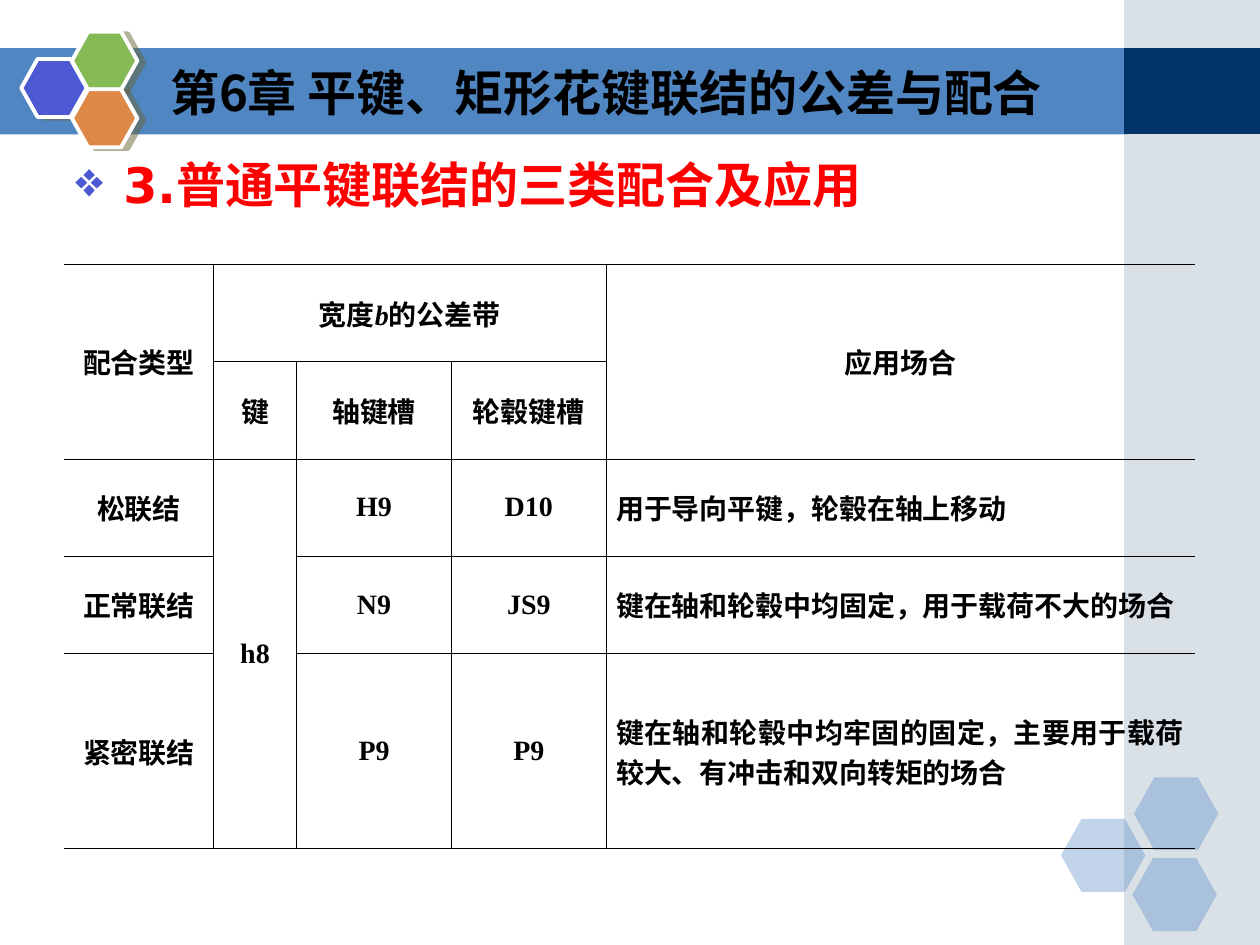
from dataclasses import dataclass
from lxml import etree
from pptx import Presentation
from pptx.dml.color import RGBColor
from pptx.enum.shapes import MSO_SHAPE
from pptx.enum.text import MSO_ANCHOR, PP_ALIGN
from pptx.oxml.ns import qn
from pptx.util import Cm, Pt

RECT, HEX = MSO_SHAPE.RECTANGLE, MSO_SHAPE.HEXAGON
MIDDLE, TOP = MSO_ANCHOR.MIDDLE, MSO_ANCHOR.TOP
LEFT, CENTER, JUSTIFY = PP_ALIGN.LEFT, PP_ALIGN.CENTER, PP_ALIGN.JUSTIFY


@dataclass(frozen=True)
class Theme:
    band: str = "5086C2"
    side: str = "A0B5C4"
    navy: str = "003366"
    blue: str = "4C59D2"
    green: str = "85BA54"
    orange: str = "DE8848"
    shade: str = "666633"
    white: str = "FFFFFF"
    black: str = "000000"
    red: str = "FF0000"
    han: str = "Noto Sans CJK SC"
    sans: str = "DejaVu Sans"
    serif: str = "Times New Roman"
    head: int = 28
    body: int = 16
    thin: float = 0.45
    thick: float = 0.75


THEME = Theme()

COLS = [3, 1.68, 3.12, 3.12, 11.86]
ROWS = [1.96] * 4 + [3.94]
CELLS = [
    ["配合类型", "宽度|b|的公差带", "", "", "应用场合"],
    ["", "键", "轴键槽", "轮毂键槽", ""],
    ["松联结", "h8", "H9", "D10", "用于导向平键，轮毂在轴上移动"],
    ["正常联结", "", "N9", "JS9", "键在轴和轮毂中均固定，用于载荷不大的场合"],
    ["紧密联结", "", "P9", "P9",
     "键在轴和轮毂中均牢固的固定，主要用于载荷较大、有冲击和双向转矩的场合"],
]
MERGES = [((0, 0), (1, 0)), ((0, 1), (0, 3)), ((0, 4), (1, 4)), ((2, 1), (4, 1))]


def add_node(parent, tag, **attrs):
    node = etree.SubElement(parent, qn(tag))
    for key, value in attrs.items():
        node.set(key, str(value))
    return node


def add_shape(slide, kind, box, color, alpha=None):
    shape = slide.shapes.add_shape(kind, *map(Cm, box))
    shape.shadow.inherit = False
    shape.fill.solid()
    shape.fill.fore_color.rgb = RGBColor.from_string(color)
    shape.line.fill.background()
    if alpha:
        tint = shape.fill._xPr.find(".//" + qn("a:srgbClr"))
        add_node(tint, "a:alpha", val=alpha * 1000)
    if kind == HEX:
        shape.adjustments[0] = 0.28
    return shape


def add_badge(slide, box, color):
    shape = add_shape(slide, HEX, box, color)
    shape.line.color.rgb = RGBColor.from_string(THEME.white)
    shape.line.width = Pt(2.25)
    effects = shape._element.spPr.find(qn("a:effectLst"))
    shadow = add_node(effects, "a:outerShdw", blurRad=0, dist=Pt(4.1),
                      dir=14 * 60000, algn="ctr", rotWithShape=0)
    tint = add_node(shadow, "a:srgbClr", val=THEME.shade)
    add_node(tint, "a:alpha", val=50000)


def style_run(run, font, size, color):
    run.font.name = font
    run.font.size = Pt(size)
    run.font.bold = True
    run.font.color.rgb = RGBColor.from_string(color)
    add_node(run.font._element, "a:ea", typeface=THEME.han)


def add_text(slide, box, text, font, color, anchor):
    frame = slide.shapes.add_textbox(*map(Cm, box)).text_frame
    frame.word_wrap = True
    frame.vertical_anchor = anchor
    frame.text = text
    para = frame.paragraphs[0]
    para.alignment = LEFT
    style_run(para.runs[0], font, THEME.head, color)
    return para


def add_bullet(para):
    props = para._p.get_or_add_pPr()
    props.set("marL", str(Cm(0.97)))
    props.set("indent", str(-Cm(0.97)))
    add_node(add_node(props, "a:buClr"), "a:srgbClr", val=THEME.blue)
    add_node(props, "a:buChar", char="❖")


def set_edges(cell, widths):
    props = cell._tc.get_or_add_tcPr()
    for spot, (side, width) in enumerate(zip("LRTB", widths)):
        line = etree.Element(qn("a:ln" + side))
        if width:
            line.set("w", str(Pt(width)))
            add_node(add_node(line, "a:solidFill"), "a:srgbClr", val=THEME.black)
        else:
            line.set("w", "0")
            add_node(line, "a:noFill")
        props.insert(spot, line)


def fill_cell(cell, text, align):
    cell.fill.background()
    cell.vertical_anchor = MIDDLE
    cell.margin_left = cell.margin_right = Cm(0.2)
    cell.margin_top = cell.margin_bottom = Cm(0.13)
    para = cell.text_frame.paragraphs[0]
    para.alignment = align
    if not text:
        return
    for spot, part in enumerate(text.split("|")):
        run = para.add_run()
        run.text = part
        style_run(run, THEME.serif, THEME.body, THEME.black)
        run.font.italic = spot == 1


def add_table(slide):
    table = slide.shapes.add_table(
        len(ROWS), len(COLS), Cm(1.3), Cm(5.33), Cm(sum(COLS)), Cm(sum(ROWS))).table
    table.first_row = table.horz_banding = False
    for col, width in zip(table.columns, COLS):
        col.width = Cm(width)
    for row, height in zip(table.rows, ROWS):
        row.height = Cm(height)
    for first, last in MERGES:
        table.cell(*first).merge(table.cell(*last))
    end_row, end_col = len(ROWS) - 1, len(COLS) - 1
    for r, row in enumerate(CELLS):
        for c, text in enumerate(row):
            cell = table.cell(r, c)
            fill_cell(cell, text, JUSTIFY if c == end_col and r > 1 else CENTER)
            set_edges(cell, [
                THEME.thin if c else 0,
                THEME.thin if c < end_col else 0,
                THEME.thin if r else THEME.thick,
                THEME.thin if r < end_row else THEME.thick])


def main():
    deck = Presentation()
    deck.slide_width, deck.slide_height = Cm(25.4), Cm(19.05)
    slide = deck.slides.add_slide(deck.slide_layouts[6])
    add_shape(slide, RECT, (0, 0.97, 22.73, 1.74), THEME.band)
    add_shape(slide, RECT, (22.66, 0, 2.74, 19.05), THEME.side, 40)
    add_shape(slide, RECT, (22.66, 0.97, 2.74, 1.73), THEME.navy)
    for x, y in [(21.39, 16.51), (22.86, 15.67), (22.83, 17.3)]:
        add_shape(slide, HEX, (x, y, 1.7, 1.47), THEME.band, 35)
    for x, y, color in [(0.43, 1.19, THEME.blue), (1.45, 0.64, THEME.green),
                        (1.45, 1.8, THEME.orange)]:
        add_badge(slide, (x, y, 1.32, 1.17), color)
    add_text(slide, (3.18, 1.07, 18.62, 1.57), "第6章 平键、矩形花键联结的公差与配合",
             THEME.han, THEME.black, MIDDLE)
    para = add_text(slide, (1.27, 3, 22.86, 14.58), "3.普通平键联结的三类配合及应用",
                    THEME.sans, THEME.red, TOP)
    add_bullet(para)
    add_table(slide)
    deck.save("out.pptx")


if __name__ == "__main__":
    main()
